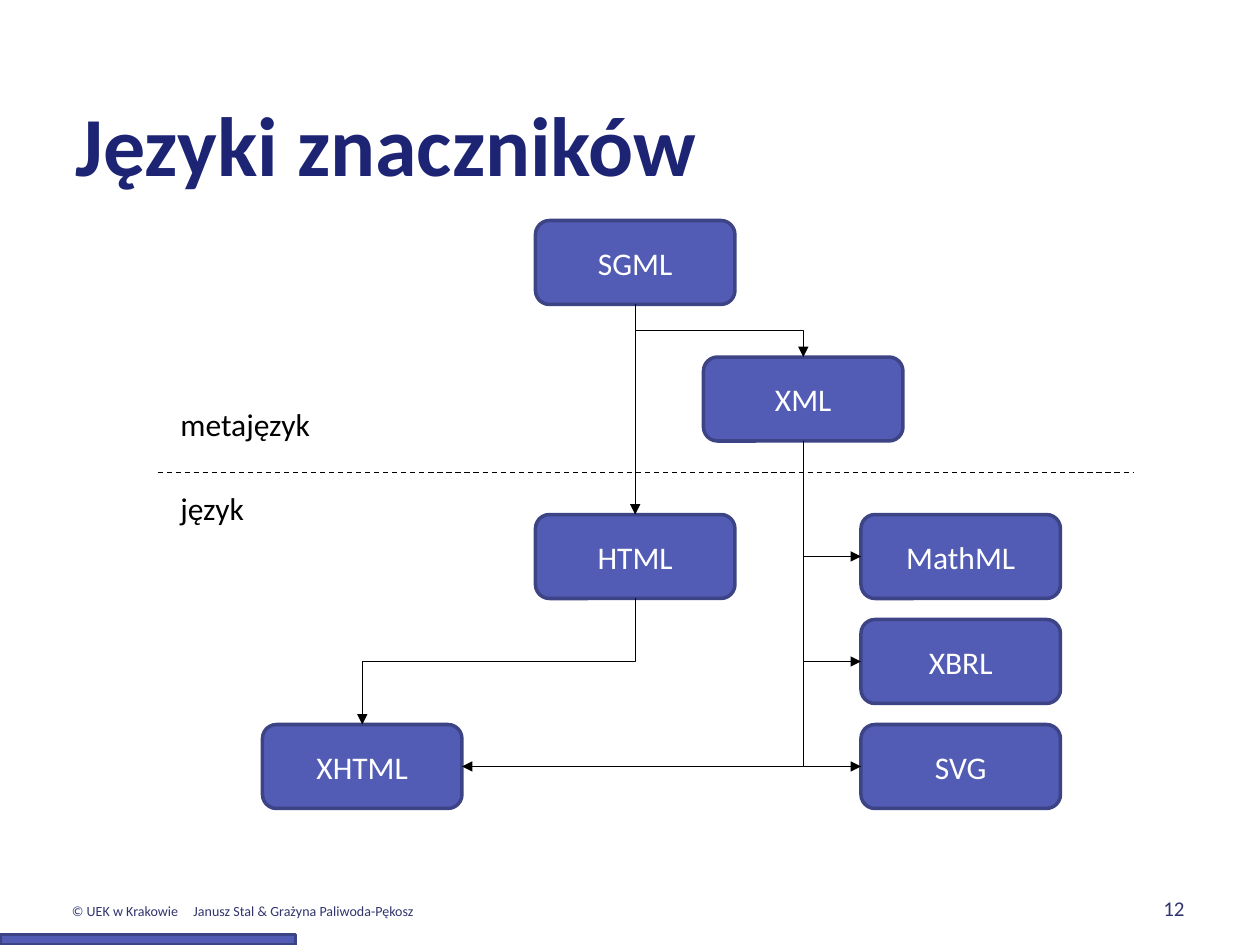
from dataclasses import dataclass

from lxml import etree
from pptx import Presentation
from pptx.dml.color import RGBColor
from pptx.enum.dml import MSO_LINE
from pptx.enum.shapes import MSO_CONNECTOR, MSO_SHAPE
from pptx.enum.text import MSO_ANCHOR, MSO_AUTO_SIZE, PP_ALIGN
from pptx.oxml.ns import qn
from pptx.util import Pt

ROUNDED = MSO_SHAPE.FLOWCHART_ALTERNATE_PROCESS
RECTANGLE = MSO_SHAPE.RECTANGLE
STRAIGHT, ELBOW = MSO_CONNECTOR.STRAIGHT, MSO_CONNECTOR.ELBOW
DASH = MSO_LINE.DASH
LEFT, CENTER, RIGHT = PP_ALIGN.LEFT, PP_ALIGN.CENTER, PP_ALIGN.RIGHT
TOP, MIDDLE, BOTTOM = MSO_ANCHOR.TOP, MSO_ANCHOR.MIDDLE, MSO_ANCHOR.BOTTOM
NO_AUTOFIT = MSO_AUTO_SIZE.NONE

# Connection sites of a node
SITE_TOP, SITE_LEFT, SITE_BOTTOM, SITE_RIGHT = range(4)


@dataclass(frozen=True)
class Theme:
    font: str = "Calibri"
    title: RGBColor = RGBColor(0x1D, 0x24, 0x74)
    footer: RGBColor = RGBColor(0x30, 0x35, 0x6E)
    fill: RGBColor = RGBColor(0x52, 0x5C, 0xB4)
    border: RGBColor = RGBColor(0x3D, 0x44, 0x85)
    ink: RGBColor = RGBColor(0, 0, 0)
    white: RGBColor = RGBColor(0xFF, 0xFF, 0xFF)
    title_size: int = 48
    body_size: int = 18
    number_size: int = 12
    footer_size: int = 8


THEME = Theme()

NODE_WIDTH, NODE_HEIGHT = 114, 48
BOTTOM_ROW, ROW_STEP = 414, 60
LANGUAGE_ROW = BOTTOM_ROW - 2 * ROW_STEP
HTML_COLUMN, XML_COLUMN, LEAF_COLUMN = 306, 402, 492

NODES = {
    "SGML": (HTML_COLUMN, 126),
    "XML": (XML_COLUMN, 204),
    "HTML": (HTML_COLUMN, LANGUAGE_ROW),
    "XHTML": (150, BOTTOM_ROW),
    "MathML": (LEAF_COLUMN, LANGUAGE_ROW),
    "XBRL": (LEAF_COLUMN, LANGUAGE_ROW + ROW_STEP),
    "SVG": (LEAF_COLUMN, BOTTOM_ROW),
}

# Every link leaves the bottom of its source: source, target, site on the target
LINKS = [
    ("SGML", "HTML", SITE_TOP),
    ("SGML", "XML", SITE_TOP),
    ("HTML", "XHTML", SITE_TOP),
    ("XML", "XHTML", SITE_RIGHT),
    ("XML", "MathML", SITE_LEFT),
    ("XML", "XBRL", SITE_LEFT),
    ("XML", "SVG", SITE_LEFT),
]


def write_text(frame, text, size, color, align=LEFT, anchor=TOP, bold=False):
    frame.vertical_anchor = anchor
    paragraph = frame.paragraphs[0]
    paragraph.alignment = align
    run = paragraph.add_run()
    run.text = text
    run.font.name = THEME.font
    run.font.size = Pt(size)
    run.font.bold = bold
    run.font.color.rgb = color


def add_title(slide, text):
    title = slide.shapes.title
    title.left, title.top, title.width, title.height = Pt(36), Pt(24), Pt(648), Pt(90)
    title.text_frame.auto_size = NO_AUTOFIT
    write_text(title.text_frame, text, THEME.title_size, THEME.title,
               anchor=BOTTOM, bold=True)


def add_label(slide, text, box, size, color, wrap=False, **layout):
    label = slide.shapes.add_textbox(*map(Pt, box))
    label.text_frame.word_wrap = wrap
    write_text(label.text_frame, text, size, color, **layout)
    return label


def add_footer(slide, owner, authors):
    """Add the copyright line, with a tab stop before the authors."""
    footer = add_label(slide, "", (34, 512, 225, 17), THEME.footer_size,
                       THEME.footer, wrap=True)
    paragraph = footer.text_frame.paragraphs[0]
    properties = paragraph._p.get_or_add_pPr()
    tabs = etree.SubElement(properties, qn("a:tabLst"))
    etree.SubElement(tabs, qn("a:tab"), pos=str(Pt(69.5)), algn="l")
    paragraph.runs[0].text = f"{owner}\t{authors}"


def add_block(slide, preset, box):
    block = slide.shapes.add_shape(preset, *map(Pt, box))
    block.shadow.inherit = False
    block.fill.solid()
    block.fill.fore_color.rgb = THEME.fill
    block.line.color.rgb = THEME.border
    block.line.width = Pt(2)
    return block


def add_node(slide, name, left, top):
    node = add_block(slide, ROUNDED, (left, top, NODE_WIDTH, NODE_HEIGHT))
    node.text_frame.word_wrap = False
    write_text(node.text_frame, name, THEME.body_size, THEME.white, CENTER, MIDDLE)
    return node


def add_line(slide, kind, start, end):
    line = slide.shapes.add_connector(kind, *map(Pt, start + end))
    line.line.color.rgb = THEME.ink
    line.line.width = Pt(0.75)
    etree.SubElement(line._element.spPr, qn("a:effectLst"))
    return line


def turn_downward(connector, single_bend):
    """Rotate an elbow connector so that its first segment runs down."""
    start_x, start_y = connector.begin_x, connector.begin_y
    run, drop = connector.end_x - start_x, connector.end_y - start_y
    connector.width, connector.height = drop, abs(run)
    connector.left = start_x + (run - drop) // 2
    connector.top = start_y + (drop - abs(run)) // 2
    properties = connector._element.spPr
    transform = properties.find(qn("a:xfrm"))
    transform.set("rot", str((270 if run > 0 else 90) * 60000))
    transform.set("flipH", "1" if run > 0 else "0")
    if single_bend:
        properties.find(qn("a:prstGeom")).set("prst", "bentConnector2")


def add_link(slide, source, target, site):
    straight = site == SITE_TOP and source.left == target.left
    link = add_line(slide, STRAIGHT if straight else ELBOW, (0, 0), (0, 0))
    link.begin_connect(source, SITE_BOTTOM)
    link.end_connect(target, site)
    if not straight:
        turn_downward(link, single_bend=site != SITE_TOP)
    etree.SubElement(link.line._get_or_add_ln(), qn("a:tailEnd"), type="triangle")


def main():
    presentation = Presentation()
    presentation.slide_width, presentation.slide_height = Pt(720), Pt(540)
    slide = presentation.slides.add_slide(presentation.slide_layouts[5])

    add_title(slide, "Języki znaczników")
    add_footer(slide, "© UEK w Krakowie", "Janusz Stal & Grażyna Paliwoda-Pękosz")
    add_label(slide, "12", (516, 492, 168, 37.5), THEME.number_size, THEME.footer,
              wrap=True, align=RIGHT, anchor=BOTTOM)
    add_block(slide, RECTANGLE, (0, 534, 169, 6))

    nodes = {name: add_node(slide, name, *place) for name, place in NODES.items()}
    for source, target, site in LINKS:
        add_link(slide, nodes[source], nodes[target], site)

    add_label(slide, "metajęzyk", (96, 228, 93, 29), THEME.body_size, THEME.ink)
    add_label(slide, "język", (96, 276, 53, 29), THEME.body_size, THEME.ink)
    divider = add_line(slide, STRAIGHT, (90, 270), (648, 270))
    divider.line.dash_style = DASH

    presentation.save("out.pptx")


if __name__ == "__main__":
    main()
